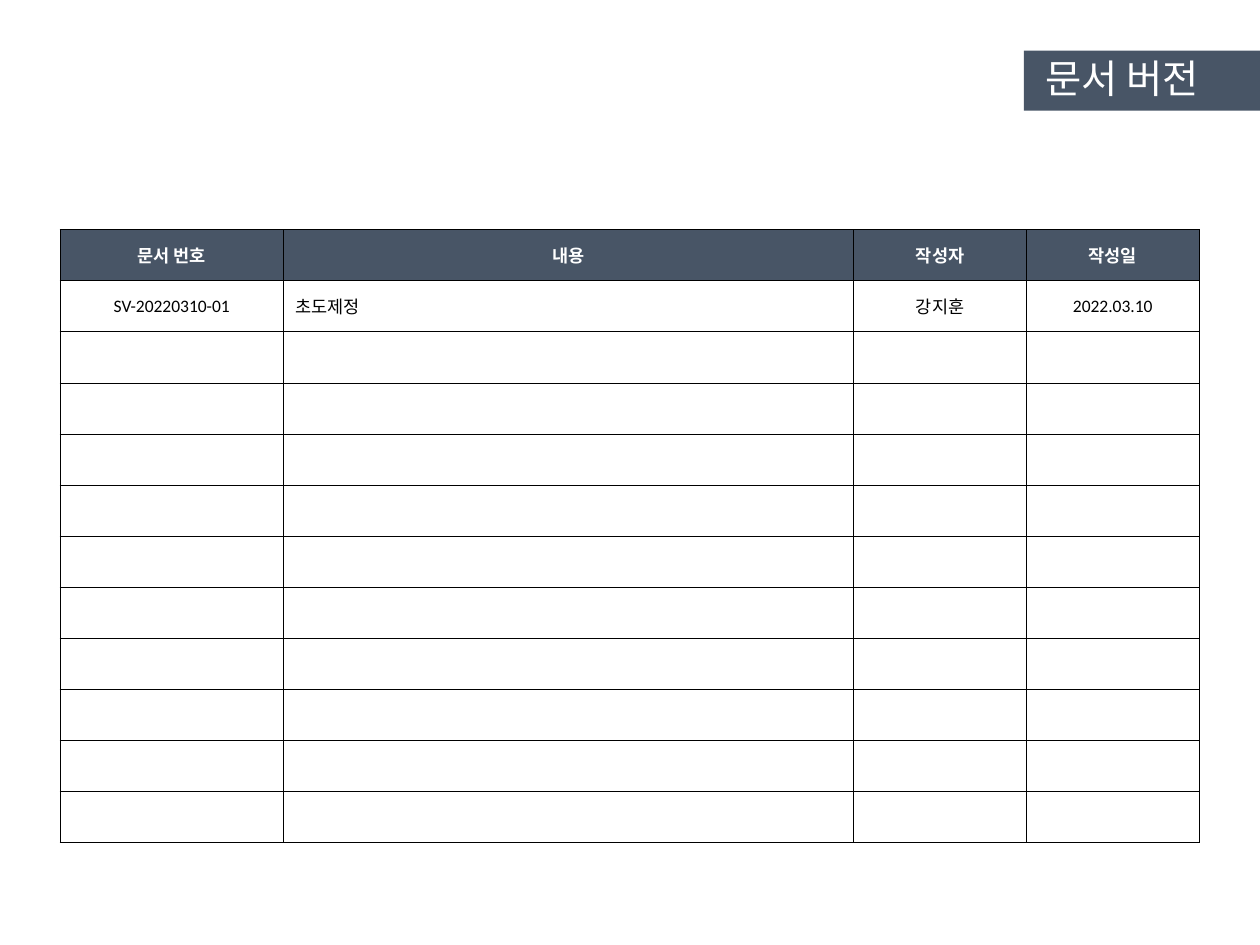
from pptx import Presentation
from pptx.dml.color import RGBColor
from pptx.enum import text as t
from pptx.oxml import parse_xml
from pptx.oxml.ns import nsdecls
from pptx.util import Cm, Pt

# Content
TITLE = "문서 버전"
HEADERS = ["문서 번호", "내용", "작성자", "작성일"]
VERSIONS = [["SV-20220310-01", "초도제정", "강지훈", "2022.03.10"]]
BODY_ROWS = 11
CONTENT_COLUMN = 1

# Layout, in centimetres
COLUMN_WIDTHS = [4.5, 11.5, 3.48, 3.48]
ROW_HEIGHT = 1.03
TABLE_LEFT, TABLE_TOP = 1.21, 4.63

SLATE = RGBColor(0x48, 0x55, 0x66)
WHITE = RGBColor(0xFF, 0xFF, 0xFF)
BLACK = RGBColor(0, 0, 0)
FONT = "Calibri"


def write(frame, content, size=10, color=BLACK, bold=False, align=t.PP_ALIGN.CENTER):
    paragraph = frame.paragraphs[0]
    paragraph.alignment = align
    run = paragraph.add_run()
    run.text = content
    run.font.name = FONT
    run.font.size = Pt(size)
    run.font.bold = bold
    run.font.color.rgb = color
    return paragraph


def add_borders(cell, width=0.5):
    properties = cell._tc.get_or_add_tcPr()
    for position, side in enumerate(("lnL", "lnR", "lnT", "lnB")):
        properties.insert(position, parse_xml(
            f'<a:{side} {nsdecls("a")} w="{Pt(width)}"><a:solidFill>'
            f'<a:srgbClr val="{BLACK}"/></a:solidFill></a:{side}>'))


presentation = Presentation()
presentation.slide_width, presentation.slide_height = Cm(25.4), Cm(19.05)
slide = presentation.slides.add_slide(presentation.slide_layouts[5])

# Version table
rows = [HEADERS] + VERSIONS
rows += [[""] * len(HEADERS)] * (BODY_ROWS - len(VERSIONS))
table = slide.shapes.add_table(
    len(rows), len(HEADERS), Cm(TABLE_LEFT), Cm(TABLE_TOP),
    Cm(sum(COLUMN_WIDTHS)), Cm(ROW_HEIGHT * len(rows))).table
table.horz_banding = False
for column, width in zip(table.columns, COLUMN_WIDTHS):
    column.width = Cm(width)
for row_index, row in enumerate(rows):
    table.rows[row_index].height = Cm(ROW_HEIGHT)
    is_header = row_index == 0
    for column_index, content in enumerate(row):
        cell = table.cell(row_index, column_index)
        cell.vertical_anchor = t.MSO_ANCHOR.MIDDLE
        cell.margin_top = cell.margin_bottom = 0
        if is_header:
            cell.fill.solid()
            cell.fill.fore_color.rgb = SLATE
        else:
            cell.fill.background()
        left_aligned = column_index == CONTENT_COLUMN and not is_header
        write(cell.text_frame, content, bold=is_header,
              color=WHITE if is_header else BLACK,
              align=t.PP_ALIGN.LEFT if left_aligned else t.PP_ALIGN.CENTER)
        add_borders(cell)

# Title band at the right edge
title = slide.shapes.title
title.left, title.top, title.width, title.height = Cm(20.64), Cm(1.02), Cm(4.76), Cm(1.21)
title.fill.solid()
title.fill.fore_color.rgb = SLATE
frame = title.text_frame
frame.auto_size = t.MSO_AUTO_SIZE.NONE
frame.word_wrap = True
frame.vertical_anchor = t.MSO_ANCHOR.MIDDLE
frame.margin_left, frame.margin_right = Cm(0.43), Cm(0.25)
frame.margin_top = frame.margin_bottom = 0
heading = write(frame, TITLE, size=22.5, color=WHITE, align=t.PP_ALIGN.LEFT)
heading.line_spacing = 0.9
heading.space_before = Pt(0)

presentation.save("out.pptx")
